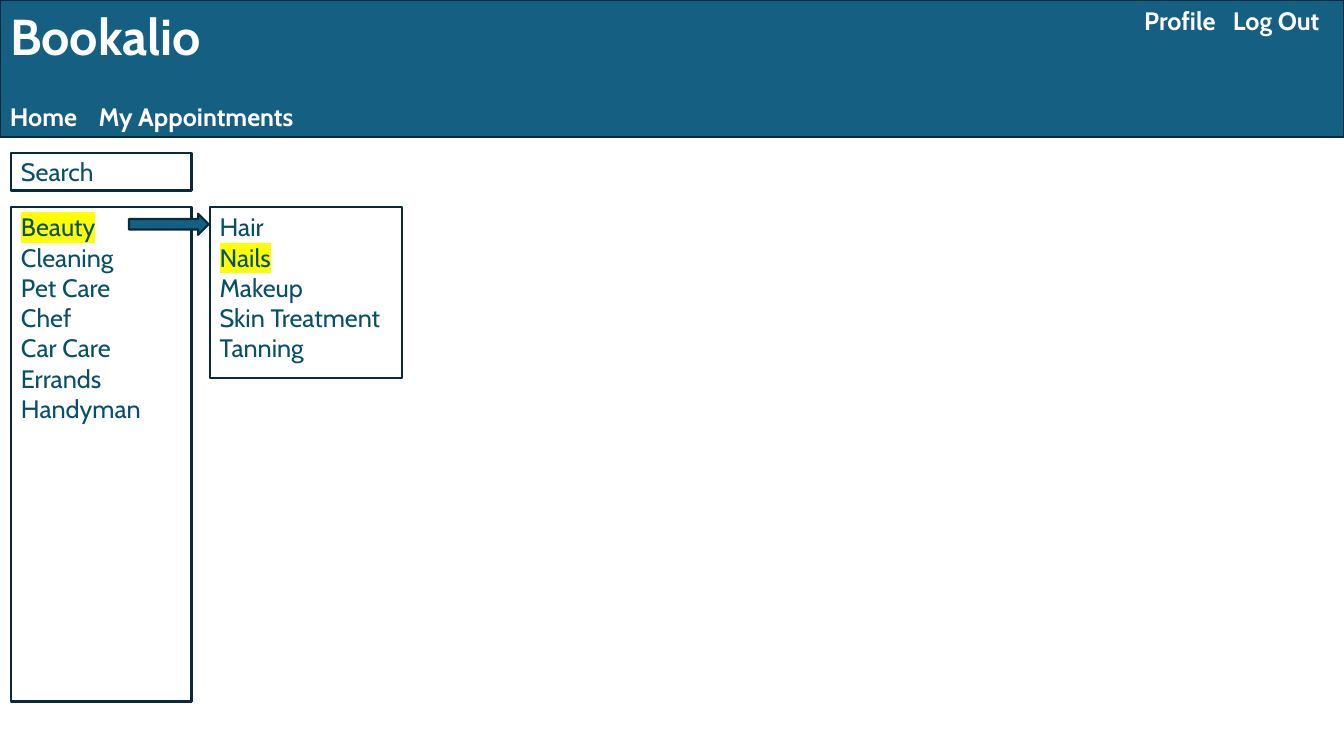
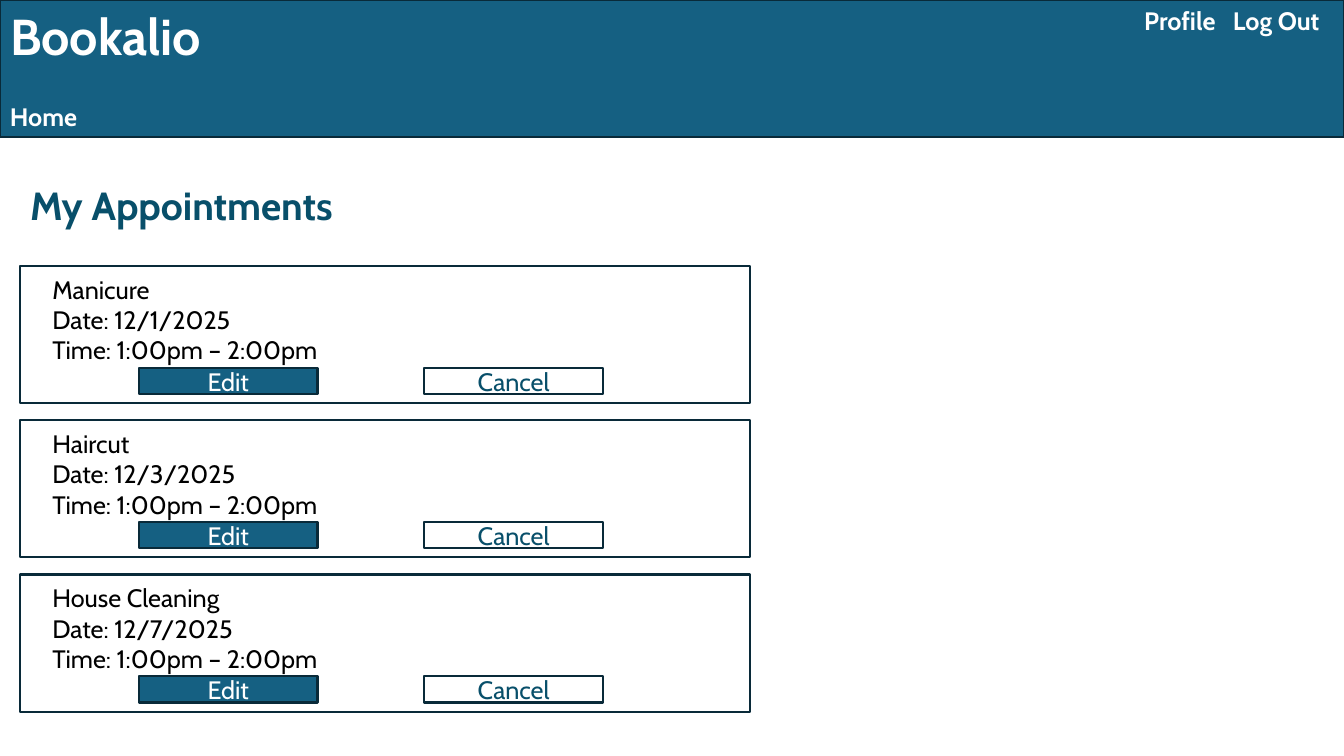
from lxml.etree import SubElement
from pptx import Presentation
from pptx.dml.color import RGBColor
from pptx.enum.shapes import MSO_SHAPE
from pptx.enum.text import MSO_ANCHOR, MSO_AUTO_SIZE, PP_ALIGN
from pptx.oxml.ns import qn
from pptx.util import Inches, Pt

FONT = "Cabin"
TEAL, OUTLINE, INK, BLACK, WHITE, YELLOW = (
    "156082", "092A39", "084F6A", "000000", "FFFFFF", "FFFF00")
WIDTH, HEIGHT = 13.33, 7.5
BAND_H = 1.36

SITE = "Bookalio"
ACCOUNT_LINKS = ["Profile", "Log Out"]
CATEGORIES = ["Beauty", "Cleaning", "Pet Care", "Chef", "Car Care", "Errands", "Handyman"]
SERVICES = ["Hair", "Nails", "Makeup", "Skin Treatment", "Tanning"]
APPOINTMENTS = [
    ("Manicure", "12/1/2025", "1:00pm – 2:00pm"),
    ("Haircut", "12/3/2025", "1:00pm – 2:00pm"),
    ("House Cleaning", "12/7/2025", "1:00pm – 2:00pm"),
]
BUTTONS = [("Edit", 1.38, TEAL, WHITE), ("Cancel", 4.21, WHITE, INK)]

MENU_LEFT, MENU_TOP, MENU_W = 0.11, 2.05, 1.79
CARD_LEFT, CARD_TOP, CARD_W, CARD_H, CARD_STEP = 0.2, 2.64, 7.24, 1.36, 1.53
BUTTON_DROP, BUTTON_W, BUTTON_H = 1.01, 1.77, 0.26


def rgb(color):
    return RGBColor.from_string(color)


def write(sp, lines, color, size=18, bold=False, align=PP_ALIGN.LEFT,
          anchor=MSO_ANCHOR.TOP, highlight=None, tab=None):
    """Fill a shape with one paragraph per line, marking the highlighted line."""
    tf = sp.text_frame
    tf.word_wrap = True
    tf.auto_size = MSO_AUTO_SIZE.NONE
    tf.vertical_anchor = anchor
    for i, line in enumerate(lines):
        p = tf.paragraphs[0] if i == 0 else tf.add_paragraph()
        r = p.add_run()
        r.text = line
        if line == highlight:
            mark = SubElement(r.font._element, qn("a:highlight"))
            SubElement(mark, qn("a:srgbClr"), val=YELLOW)
        if tab:
            stops = SubElement(p._p.get_or_add_pPr(), qn("a:tabLst"))
            SubElement(stops, qn("a:tab"), pos=str(Inches(tab)), algn="l")
        p.alignment = align
        p.font.name, p.font.size, p.font.bold = FONT, Pt(size), bold
        p.font.color.rgb = rgb(color)
    return tf


def paint(sp, fill):
    sp.fill.solid()
    sp.fill.fore_color.rgb = rgb(fill)
    sp.line.color.rgb = rgb(OUTLINE)
    sp.line.width = Pt(1.5)


def add_box(s, x, y, w, h, fill=WHITE, shape=MSO_SHAPE.RECTANGLE):
    sp = s.shapes.add_shape(shape, Inches(x), Inches(y), Inches(w), Inches(h))
    sp.shadow.inherit = False
    paint(sp, fill)
    return sp


def add_text(s, x, y, w, h, text, color, **style):
    sp = s.shapes.add_textbox(Inches(x), Inches(y), Inches(w), Inches(h))
    write(sp, [text], color, bold=True, **style)


def add_page(prs, links):
    """Add a slide with the site band, page links and account links."""
    s = prs.slides.add_slide(prs.slide_layouts[5])
    band = s.shapes.title
    band.left, band.top = 0, 0
    band.width, band.height = Inches(WIDTH), Inches(BAND_H)
    paint(band, TEAL)
    write(band, [SITE], WHITE, size=36, bold=True)
    for x, y, w, names in [(0, BAND_H - 0.4, 3.11, links), (11.25, 0, 1.99, ACCOUNT_LINKS)]:
        add_text(s, x, y, w, 0.4, "\t".join(names), WHITE, tab=0.88)
    return s


def add_home(prs):
    s = add_page(prs, ["Home", "My Appointments"])
    search = add_box(s, MENU_LEFT, 1.52, MENU_W, 0.37)
    write(search, ["Search"], INK, anchor=MSO_ANCHOR.MIDDLE)
    menus = [(MENU_LEFT, MENU_W, 4.91, CATEGORIES, "Beauty"),
             (2.08, 1.91, 1.7, SERVICES, "Nails")]
    for x, w, h, items, chosen in menus:
        write(add_box(s, x, MENU_TOP, w, h), items, INK, highlight=chosen)
    add_box(s, 1.28, 2.12, 0.79, 0.21, TEAL, MSO_SHAPE.RIGHT_ARROW)


def add_appointments(prs):
    s = add_page(prs, ["Home"])
    add_text(s, CARD_LEFT, 1.75, 3.34, 0.57, "My Appointments", INK, size=28)
    for i, (service, date, time) in enumerate(APPOINTMENTS):
        top = CARD_TOP + i * CARD_STEP
        card = add_box(s, CARD_LEFT, top, CARD_W, CARD_H)
        tf = write(card, [service, f"Date: {date}", f"Time: {time}"], BLACK)
        tf.margin_left, tf.margin_top = Inches(0.32), Inches(0.08)
        for label, x, fill, color in BUTTONS:
            button = add_box(s, x, top + BUTTON_DROP, BUTTON_W, BUTTON_H, fill)
            tf = write(button, [label], color, align=PP_ALIGN.CENTER, anchor=MSO_ANCHOR.MIDDLE)
            tf.margin_top = tf.margin_bottom = 0


def main():
    prs = Presentation()
    prs.slide_width, prs.slide_height = Inches(WIDTH), Inches(HEIGHT)
    add_home(prs)
    add_appointments(prs)
    prs.save("out.pptx")


if __name__ == "__main__":
    main()
